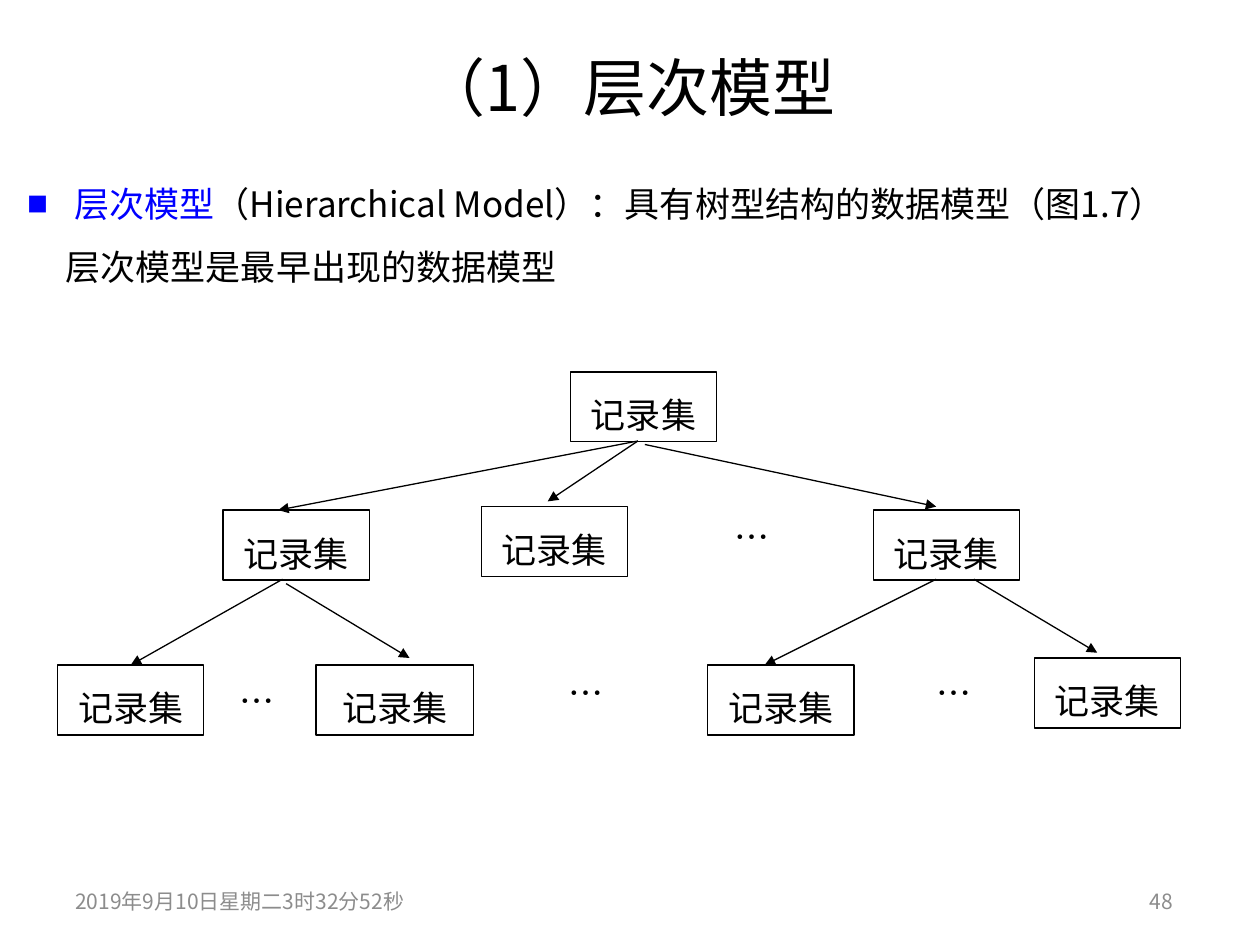
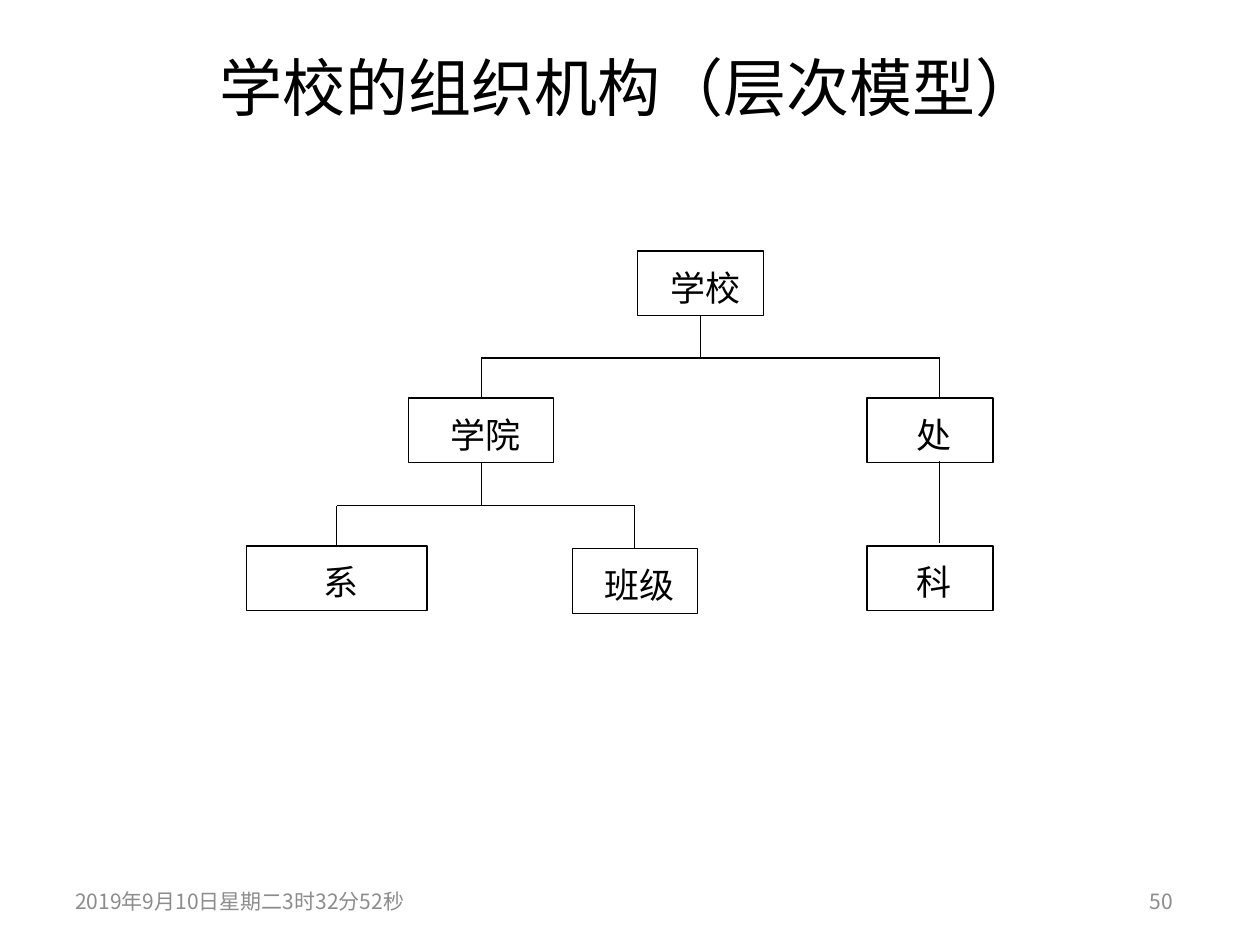
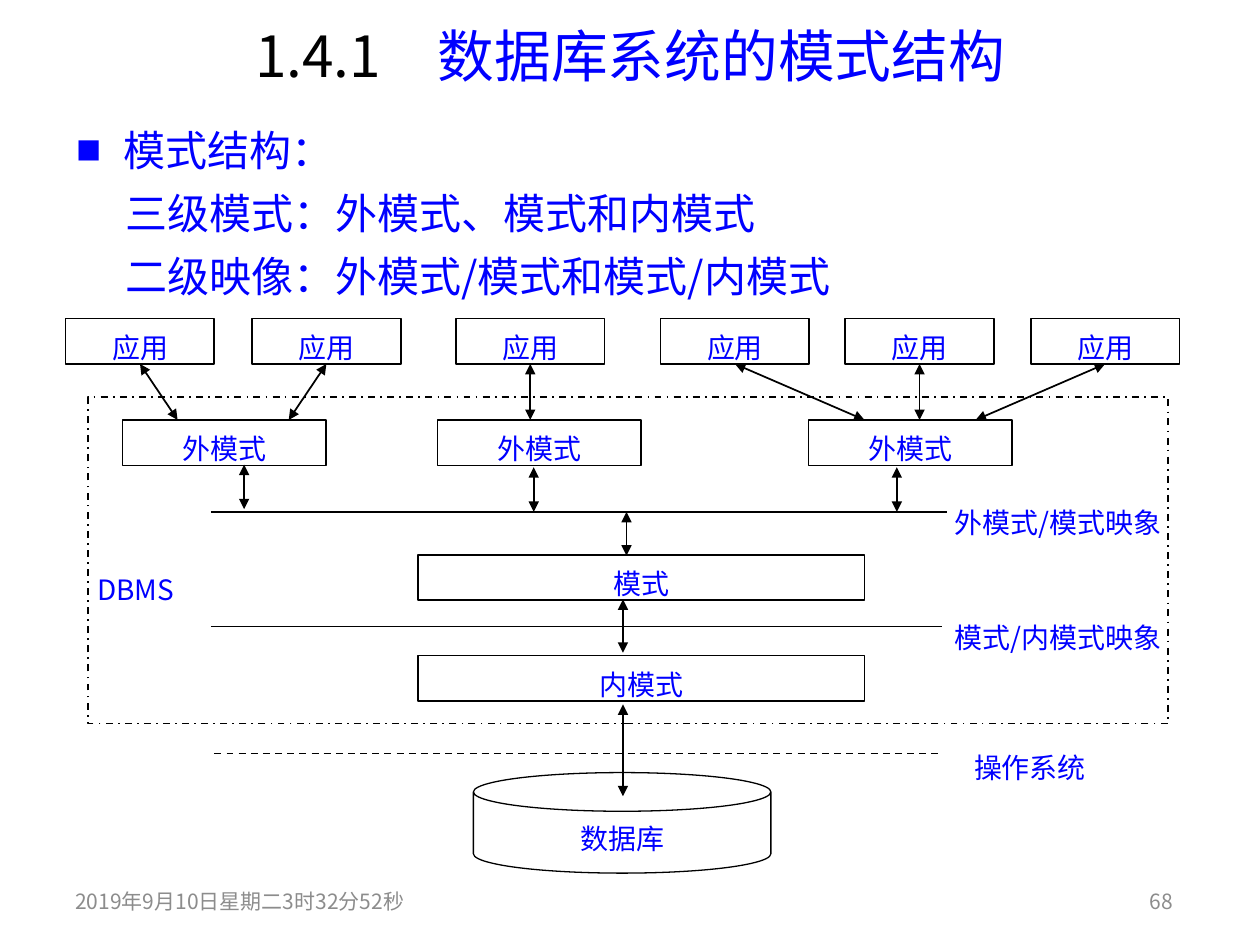
from dataclasses import dataclass

from lxml.etree import SubElement
from pptx import Presentation
from pptx.dml.color import RGBColor
from pptx.enum.dml import MSO_LINE as Dash
from pptx.enum.shapes import MSO_CONNECTOR as Connector, MSO_SHAPE as Shape
from pptx.enum.text import MSO_ANCHOR as Anchor, PP_ALIGN as Align
from pptx.oxml.ns import qn
from pptx.util import Pt


@dataclass(frozen=True)
class Theme:
    font: str = "Noto Sans CJK SC"
    black: str = "000000"
    blue: str = "0000FF"
    grey: str = "8C8C8C"
    white: str = "FFFFFF"
    title: float = 36
    section_title: float = 32.4
    large: float = 24
    body: float = 20
    label: float = 16
    footer: float = 12
    thin: float = 0.75
    medium: float = 1


THEME = Theme()
INSETS = (7.2, 3.6, 7.2, 3.6)
NO_INSETS = (0, 0, 0, 0)
TOP, BOTTOM = 0, 2  # connection sites of a rectangle


@dataclass(frozen=True)
class TextStyle:
    size: float
    color: str = THEME.black
    align: Align = Align.CENTER
    spacing: float = 0
    first_indent: float = 0
    anchor: Anchor = Anchor.TOP
    insets: tuple = INSETS


@dataclass(frozen=True)
class Line:
    """A paragraph: runs of (text, color), with its indents."""
    runs: tuple
    margin: float = 0
    indent: float = 0
    bullet: bool = False


class Deck:
    def __init__(self, theme):
        self.theme = theme
        self.presentation = Presentation()
        self.presentation.slide_width = Pt(720)
        self.presentation.slide_height = Pt(540)
        self.slide = None

    def new_slide(self, number):
        self.slide = self.presentation.slides.add_slide(self.presentation.slide_layouts[6])
        for text, box, align in (
            ("2019年9月10日星期二3时32分52秒", (36, 500.5, 216, 29), Align.LEFT),
            (str(number), (516, 500.5, 161.5, 29), Align.RIGHT),
        ):
            self.text(text, box, TextStyle(self.theme.footer, self.theme.grey, align,
                                           anchor=Anchor.MIDDLE))

    def title(self, content, box=(36, 21.5, 647, 55.5), size=THEME.title):
        self.text(content, box, TextStyle(size, anchor=Anchor.MIDDLE))

    def text(self, content, box, style):
        shape = self.slide.shapes.add_textbox(*map(Pt, box))
        self.fill_text(shape, content, style)

    def box(self, content, box, style, width=THEME.thin, fill=None,
            kind=Shape.RECTANGLE, dash=None):
        shape = self.slide.shapes.add_shape(kind, *map(Pt, box))
        shape.shadow.inherit = False
        if fill:
            shape.fill.solid()
            shape.fill.fore_color.rgb = RGBColor.from_string(fill)
        else:
            shape.fill.background()
        self.style_line(shape.line, width, dash)
        self.fill_text(shape, content, style)
        return shape

    def line(self, start, end, width=THEME.thin, head=False, tail=False, dash=None):
        """Each end is a point (x, y) or a joint (shape, site)."""
        ends = [end if isinstance(end[0], (int, float)) else (0, 0) for end in (start, end)]
        connector = self.slide.shapes.add_connector(
            Connector.STRAIGHT, *(Pt(value) for point in ends for value in point))
        for end, join in ((start, connector.begin_connect), (end, connector.end_connect)):
            if not isinstance(end[0], (int, float)):
                join(*end)
        self.style_line(connector.line, width, dash)
        outline = connector.line._get_or_add_ln()
        for wanted, tag in ((head, "a:headEnd"), (tail, "a:tailEnd")):
            if wanted:
                SubElement(outline, qn(tag), type="triangle")
        SubElement(connector._element.spPr, qn("a:effectLst"))

    def style_line(self, line, width, dash):
        line.width = Pt(width)
        line.color.rgb = RGBColor.from_string(self.theme.black)
        if dash:
            line.dash_style = dash

    def fill_text(self, shape, content, style):
        frame = shape.text_frame
        frame.word_wrap = True
        frame.vertical_anchor = style.anchor
        (frame.margin_left, frame.margin_top,
         frame.margin_right, frame.margin_bottom) = map(Pt, style.insets)
        if isinstance(content, str):
            content = [Line(((content, style.color),), indent=style.first_indent)]
        for index, line in enumerate(content):
            paragraph = frame.add_paragraph() if index else frame.paragraphs[0]
            self.fill_paragraph(paragraph, line, style)

    def fill_paragraph(self, paragraph, line, style):
        paragraph.alignment = style.align
        if style.spacing:
            paragraph.line_spacing = Pt(style.spacing)
        properties = paragraph._p.get_or_add_pPr()
        properties.set("marL", str(Pt(line.margin)))
        properties.set("indent", str(Pt(line.indent)))
        if line.bullet:
            color = SubElement(properties, qn("a:buClr"))
            SubElement(color, qn("a:srgbClr"), val=self.theme.blue)
            SubElement(properties, qn("a:buSzPct"), val="60000")
            SubElement(properties, qn("a:buFont"), typeface=self.theme.font)
            SubElement(properties, qn("a:buChar"), char="■")
        font = paragraph.font
        font.size = Pt(style.size)
        font.color.rgb = RGBColor.from_string(line.runs[0][1])
        font.name = self.theme.font
        SubElement(font._element, qn("a:ea"), typeface=self.theme.font)
        for text, color in line.runs:
            run = paragraph.add_run()
            run.text = text
            if color != line.runs[0][1]:
                run.font.color.rgb = RGBColor.from_string(color)


def hierarchical_model(deck):
    deck.new_slide(48)
    deck.title("（1）层次模型")
    deck.text([
        Line((("层次模型", THEME.blue),
              ("（Hierarchical Model）：具有树型结构的数据模型（图1.7）", THEME.black)),
             27, -27, True),
        Line((("层次模型是最早出现的数据模型", THEME.black),), 22),
    ], (8.5, 88.5, 692, 90.5), TextStyle(THEME.body, align=Align.LEFT, spacing=36))

    # Record sets and the dots between them
    node = TextStyle(THEME.body, spacing=33)
    records = [
        deck.box("记录集", (left, top, width, 40), node, fill=THEME.white)
        for left, top, width in (
            (326, 212.5, 83.5),
            (127.5, 291.5, 83.5), (275, 289.5, 83.5), (499, 291.5, 83.5),
            (33, 380, 83.5), (180.5, 380, 90), (404.5, 380, 83.5), (591, 376, 83.5))
    ]
    for left, top, width in ((373, 282, 113), (278.5, 371, 113),
                             (112.5, 376, 68.5), (514, 371, 62)):
        deck.text("…", (left, top, width, 50.5), node)

    # Arrows from parent to child
    for start, end in (
        ((368.5, 254), (535, 289.5)), ((364.5, 252), (313, 286.5)),
        ((364.5, 252), (159, 291.5)), ((161.5, 331), (records[4], TOP)),
        ((535, 331), (437, 380)), ((163.5, 333.5), (234, 376)),
        ((556.5, 331), (627, 373)),
    ):
        deck.line(start, end, tail=True)


def school_organisation(deck):
    deck.new_slide(50)
    deck.title("学校的组织机构（层次模型）")

    # Units
    node = TextStyle(THEME.body, spacing=29, first_indent=5)
    units = {
        name: deck.box(name, (left, top, width, 37), node, fill=THEME.white)
        for name, left, top, width in (
            ("学校", 364.5, 143.5, 72), ("学院", 233.5, 227.5, 83),
            ("处", 495.5, 227.5, 72), ("系", 141, 312, 103),
            ("班级", 327, 313.5, 71.5), ("科", 495.5, 312, 72))
    }

    # Branches: a stem from the parent, a bar, and a drop to each child
    office_x = 537
    for parent, parent_x, bar_y, drops in (
        ("学校", 400.5, 204.5, ((275, (units["学院"], TOP)), (office_x, (office_x, 227.5)))),
        ("学院", 275, 289, ((192.5, (units["系"], TOP)), (362.75, (units["班级"], TOP)))),
    ):
        deck.line((units[parent], BOTTOM), (parent_x, bar_y))
        deck.line((drops[0][0], bar_y), (drops[-1][0], bar_y))
        for x, child in drops:
            deck.line((x, bar_y), child)
    deck.line((office_x, 263.5), (office_x, 310.5))


def schema_structure(deck):
    deck.new_slide(68)
    deck.title([Line((("1.4.1　", THEME.black), ("数据库系统的模式结构", THEME.blue)))],
               (36.5, 9.5, 647, 44), THEME.section_title)
    deck.text([
        Line((("模式结构：", THEME.blue),), 27, -27, True),
        Line((("三级模式：外模式、模式和内模式", THEME.blue),), 28),
        Line((("二级映像：外模式/模式和模式/内模式", THEME.blue),), 28),
    ], (36.5, 60.5, 648, 119),
        TextStyle(THEME.large, THEME.blue, Align.LEFT, 36))

    # DBMS frame and database
    deck.box("DBMS", (50.5, 227, 617, 186.5),
             TextStyle(THEME.label, THEME.blue, Align.LEFT, 26, anchor=Anchor.MIDDLE,
                       insets=(5, 28, 5, 2)),
             THEME.medium, THEME.white, dash=Dash.DASH_DOT)
    database = deck.box("数据库", (270.5, 441.5, 170, 57.5),
                        TextStyle(THEME.label, THEME.blue, spacing=26,
                                  anchor=Anchor.MIDDLE, insets=(5, 2, 5, 2)),
                        fill=THEME.white, kind=Shape.CAN)
    database.adjustments[0] = 0.385

    # Applications, external schemas, schema and internal schema
    label = TextStyle(THEME.label, THEME.blue, spacing=26, insets=NO_INSETS)

    def layer(name, lefts, top, width):
        return [deck.box(name, (left, top, width, 26), label, THEME.medium)
                for left in lefts]

    applications = layer("应用", (37.5, 144, 260.5, 377.5, 483, 589), 182, 85)
    layer("外模式", (70, 250, 462), 240, 116.5)
    layer("模式", (239,), 317, 255)
    layer("内模式", (239,), 374.5, 255)

    # Level lines and their labels
    for left, right, y, dash in ((120.5, 541, 292.5, None), (120.5, 538.5, 358, None),
                                 (122.5, 536.5, 430.5, Dash.DASH)):
        deck.line((left, y), (right, y), THEME.medium, dash=dash)
    for name, left, top, width in (("外模式/模式映象", 535.5, 282, 138),
                                   ("模式/内模式映象", 538.5, 348, 132),
                                   ("操作系统", 535.5, 422, 106)):
        deck.text(name, (left, top, width, 24.5), label)

    # Two-way arrows
    for application, x in zip(applications, (101.5, 165, 303, 494, 525.5, 557.5)):
        deck.line((application, BOTTOM), (x, 240), THEME.medium, True, True)
    for x, top, bottom in ((139.5, 265.5, 291), (305, 267, 292.5), (512.5, 267, 292.5),
                           (358, 292.5, 317.5), (356, 342.5, 373), (356, 402.5, 455)):
        deck.line((x, top), (x, bottom), THEME.medium, True, True)


def main():
    deck = Deck(THEME)
    hierarchical_model(deck)
    school_organisation(deck)
    schema_structure(deck)
    deck.presentation.save("out.pptx")


if __name__ == "__main__":
    main()
